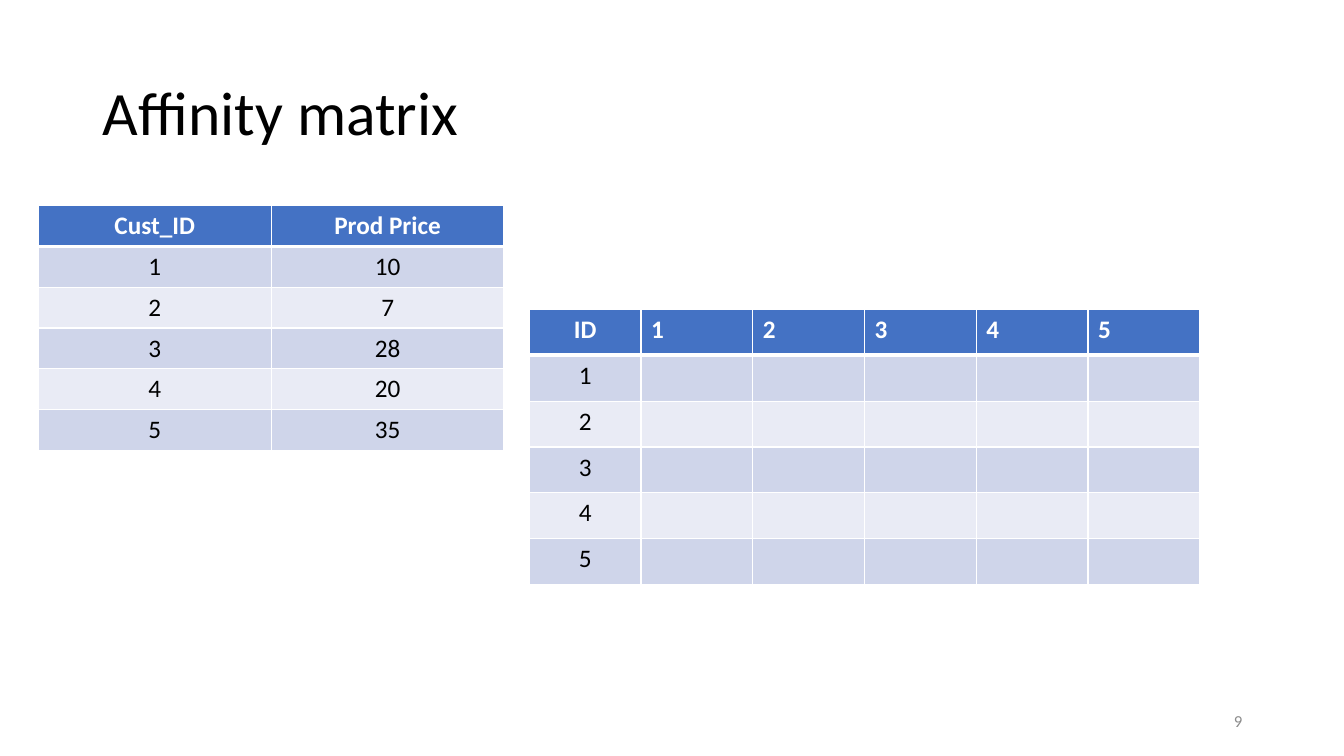
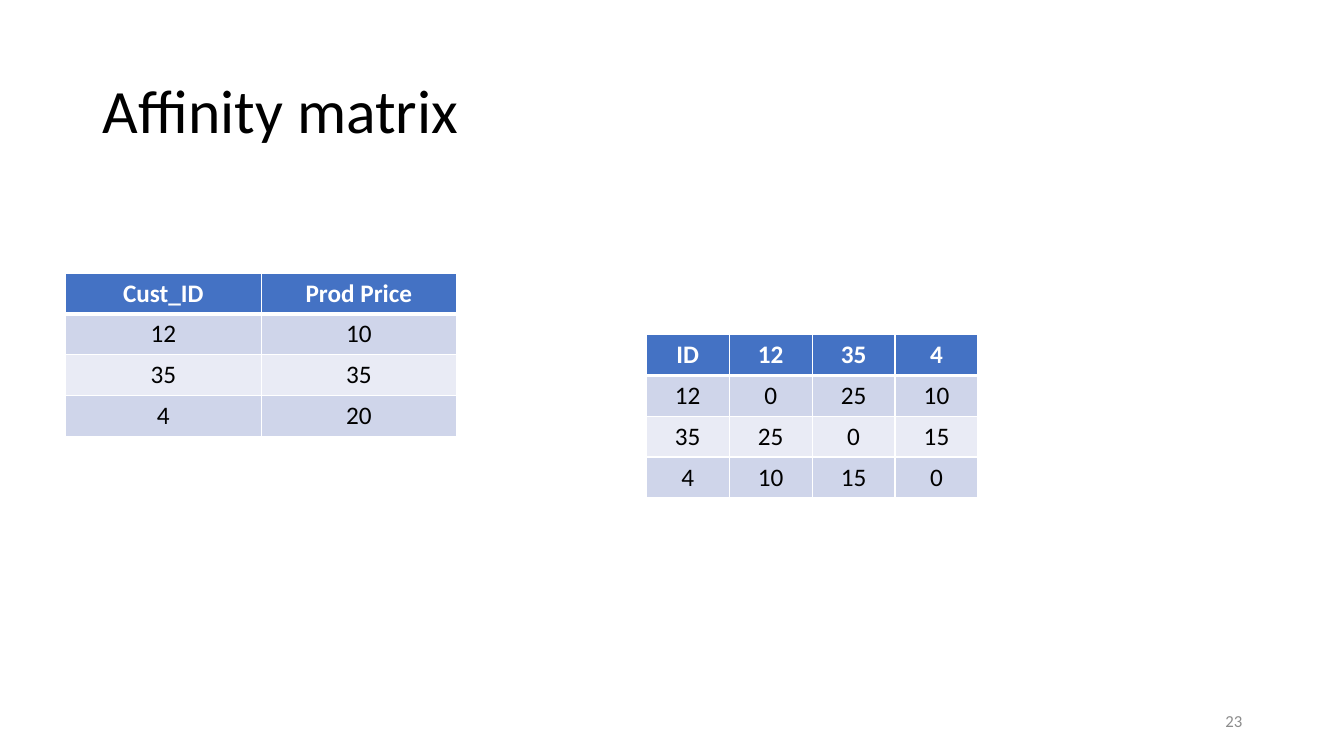
from dataclasses import dataclass

import lxml.etree
import pptx
import pptx.dml.color
import pptx.enum.text
import pptx.oxml.ns
import pptx.util

EMU_PER_PX = 9144
ALIGN = pptx.enum.text.PP_ALIGN
MIDDLE = pptx.enum.text.MSO_ANCHOR.MIDDLE


@dataclass(frozen=True)
class Theme:
    font: str = "Calibri"
    text: str = "000000"
    muted: str = "8C8C8C"
    white: str = "FFFFFF"
    header: str = "4472C4"
    bands: tuple = ("CFD5EA", "E9EBF5")
    title_size: int = 44
    table_size: int = 18
    number_size: int = 12
    thin_border: int = 1
    header_border: int = 3


THEME = Theme()


def px(length):
    return pptx.util.Emu(round(length * EMU_PER_PX))


def rgb(color):
    return pptx.dml.color.RGBColor.from_string(color)


def write(text_frame, text, *, size, color=THEME.text, bold=False,
          align=ALIGN.LEFT, line_spacing=None):
    paragraph = text_frame.paragraphs[0]
    paragraph.text = text
    paragraph.alignment = align
    paragraph.line_spacing = line_spacing
    font = paragraph.font
    font.name = THEME.font
    font.size = pptx.util.Pt(size)
    font.bold = bold
    font.color.rgb = rgb(color)


def add_titled_slide(presentation, title, number, title_top):
    slide = presentation.slides.add_slide(presentation.slide_layouts[5])
    shape = slide.shapes.title
    shape.left, shape.top, shape.width, shape.height = map(px, (92, title_top, 1150, 145))
    shape.text_frame.vertical_anchor = MIDDLE
    write(shape.text_frame, title, size=THEME.title_size, line_spacing=0.9)

    number_box = slide.shapes.add_textbox(*map(px, (942, 695, 300, 40)))
    number_box.text_frame.word_wrap = True
    number_box.text_frame.vertical_anchor = MIDDLE
    write(number_box.text_frame, str(number), size=THEME.number_size,
          color=THEME.muted, align=ALIGN.RIGHT)
    return slide


def set_borders(cell, **widths):
    """Draw white borders; widths are points keyed by L, R, T and B, in that order."""
    qn = pptx.oxml.ns.qn
    properties = cell._tc.get_or_add_tcPr()
    for side, width in widths.items():
        line = lxml.etree.SubElement(properties, qn(f"a:ln{side}"),
                                     w=str(pptx.util.Pt(width)))
        fill = lxml.etree.SubElement(line, qn("a:solidFill"))
        lxml.etree.SubElement(fill, qn("a:srgbClr"), val=THEME.white)


def format_cell(cell, text, row, align):
    is_header = row == 0
    thin, thick = THEME.thin_border, THEME.header_border
    set_borders(cell, L=thin, R=thin,
                T=thick if row == 1 else thin,
                B=thick if is_header else thin)
    cell.fill.solid()
    cell.fill.fore_color.rgb = rgb(THEME.header if is_header else THEME.bands[(row - 1) % 2])
    write(cell.text_frame, text, size=THEME.table_size, bold=is_header,
          color=THEME.white if is_header else THEME.text, align=align)


def add_banded_table(slide, rows, left, top, width, height, header_align=ALIGN.CENTER):
    """Add an equal grid; header_align applies to the header after its first cell."""
    frame = slide.shapes.add_table(len(rows), len(rows[0]),
                                   *map(px, (left, top, width, height)))
    for row, values in enumerate(rows):
        for column, value in enumerate(values):
            align = header_align if row == 0 and column > 0 else ALIGN.CENTER
            format_cell(frame.table.cell(row, column), str(value), row, align)


def price_rows(prices):
    return [("Cust_ID", "Prod Price"), *prices.items()]


def matrix_rows(ids, values):
    return [("ID", *ids), *((row_id, *row) for row_id, row in zip(ids, values))]


def main():
    presentation = pptx.Presentation()
    presentation.slide_width, presentation.slide_height = px(1333), px(750)

    slide = add_titled_slide(presentation, "Affinity matrix", 9, title_top=42)
    prices = {1: 10, 2: 7, 3: 28, 4: 20, 5: 35}
    empty_values = [[""] * len(prices) for _ in prices]
    add_banded_table(slide, matrix_rows(prices, empty_values), 525, 307, 665, 273,
                     header_align=ALIGN.LEFT)
    add_banded_table(slide, price_rows(prices), 38, 204, 462, 243)

    slide = add_titled_slide(presentation, "Affinity matrix", 23, title_top=40)
    prices = {12: 10, 35: 35, 4: 20}
    distances = [[abs(a - b) for b in prices.values()] for a in prices.values()]
    add_banded_table(slide, matrix_rows(prices, distances), 641, 332, 329, 162)
    add_banded_table(slide, price_rows(prices), 65, 271, 388, 162)

    presentation.save("out.pptx")


if __name__ == "__main__":
    main()
